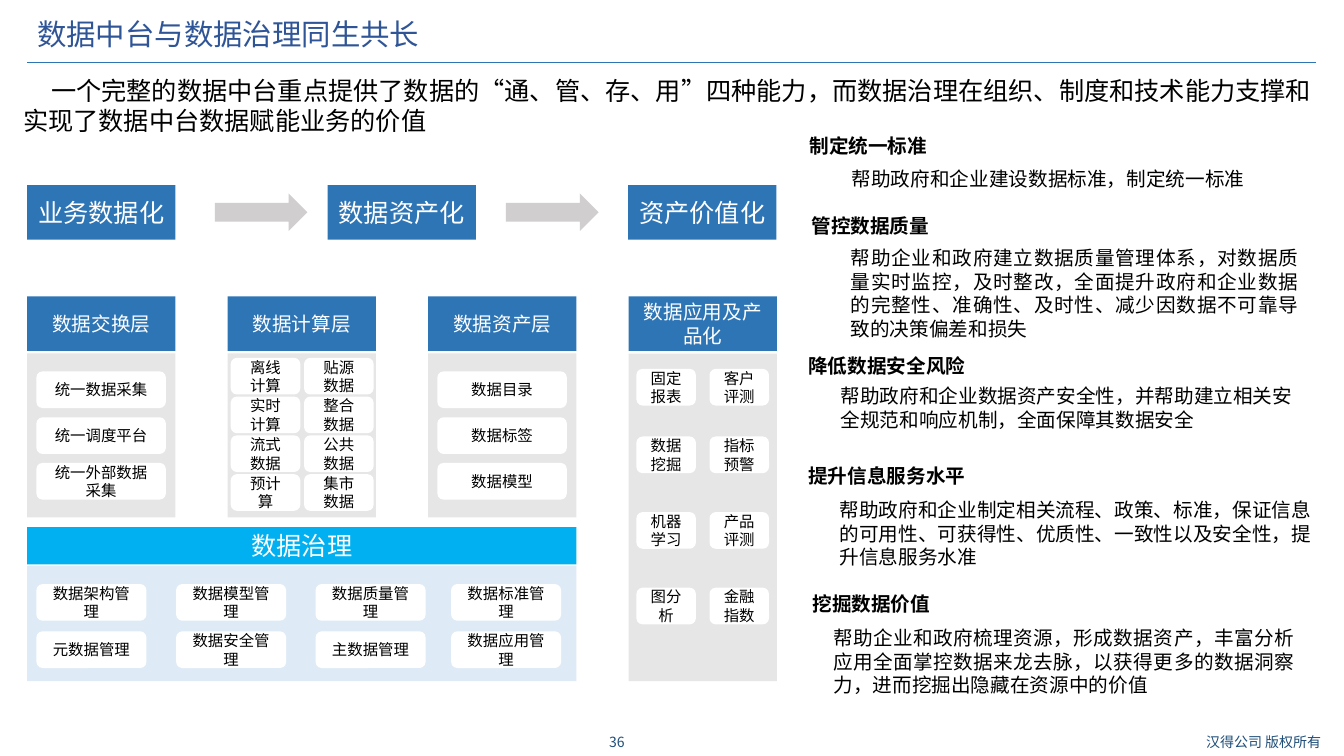
from itertools import product

from pptx import Presentation
from pptx.dml.color import RGBColor
from pptx.enum.shapes import MSO_CONNECTOR as Connector, MSO_SHAPE as Preset
from pptx.enum.text import MSO_ANCHOR as Anchor, MSO_AUTO_SIZE as AutoSize, PP_ALIGN as Align
from pptx.oxml.ns import qn
from pptx.util import Pt

COLORS = {
    "title": "2F5597", "footer": "1F4E79", "rule": "2E75B6", "header": "2E75B6",
    "arrow": "D0CECE", "panel": "E7E6E6", "governance": "00B0F0",
    "governance_panel": "DEEBF7", "white": "FFFFFF", "black": "000000",
}
FONT = "Noto Sans CJK SC"
COLUMN_WIDTH, HEADER_HEIGHT, PILL_HEIGHT = 106, 39, 26.2
LEFT = 19.4
LAYER_PITCH, STAGE_PITCH = 143.2, 214.6

STAGES = ["业务数据化", "数据资产化", "资产价值化"]
# Each layer: heading, panel height, pill width, pill lefts and tops in the panel, labels by row
LAYERS = [
    ("数据交换层", 117, 92.5, [6.6], [12.8, 45.6, 78.2],
     ["统一数据采集", "统一调度平台", "统一外部数据采集"]),
    ("数据计算层", 117, 49.7, [2.2, 54.6], [3.1, 30.8, 58.5, 86.2],
     ["离线计算", "贴源数据", "实时计算", "整合数据", "流式数据", "公共数据", "预计算", "集市数据"]),
    ("数据资产层", 117, 92.5, [6.6], [12.8, 45.6, 78.2],
     ["数据目录", "数据标签", "数据模型"]),
    ("数据应用及产品化", 234, 42.5, [5.6, 57.8], [11, 59.3, 113.3, 167.3],
     ["固定报表", "客户评测", "数据挖掘", "指标预警", "机器学习", "产品评测", "图分析", "金融指数"]),
]
GOVERNANCE = ["数据架构管理", "数据模型管理", "数据质量管理", "数据标准管理",
              "元数据管理", "数据安全管理", "主数据管理", "数据应用管理"]
# Each benefit: heading left and top, body left, top and width, alignment, heading, body
BENEFITS = [
    (578.2, 95.8, 608.4, 119.5, 323.3, Align.JUSTIFY, "制定统一标准",
     "帮助政府和企业建设数据标准，制定统一标准"),
    (579.6, 152.6, 607.7, 175.7, 319.7, Align.JUSTIFY, "管控数据质量",
     "帮助企业和政府建立数据质量管理体系，对数据质量实时监控，及时整改，全面提升政府和企业数据的完整性、"
     "准确性、及时性、减少因数据不可靠导致的决策偏差和损失"),
    (577.4, 252.7, 600.5, 274.3, 331.2, Align.LEFT, "降低数据安全风险",
     "帮助政府和企业数据资产安全性，并帮助建立相关安全规范和响应机制，全面保障其数据安全"),
    (577.4, 331.2, 599.8, 355.7, 347.8, Align.LEFT, "提升信息服务水平",
     "帮助政府和企业制定相关流程、政策、标准，保证信息的可用性、可获得性、优质性、一致性以及安全性，"
     "提升信息服务水准"),
    (580.3, 422.6, 595.4, 447.1, 329, Align.JUSTIFY, "挖掘数据价值",
     "帮助企业和政府梳理资源，形成数据资产，丰富分析应用全面掌控数据来龙去脉，以获得更多的数据洞察力，"
     "进而挖掘出隐藏在资源中的价值"),
]


def write(shape, text, size, color, align=Align.LEFT, name=FONT, bold=False, frame=None, paragraph=None):
    """Put one formatted paragraph in a shape; frame and paragraph hold extra attributes."""
    text_frame = shape.text_frame
    first = text_frame.paragraphs[0]
    run = first.add_run()
    run.text = text
    formats = [
        (text_frame, {"word_wrap": True, **(frame or {})}),
        (first, {"alignment": align, **(paragraph or {})}),
        (run.font, {"size": Pt(size), "name": name, "bold": bold}),
    ]
    for target, values in formats:
        for attribute, value in values.items():
            setattr(target, attribute, value)
    run.font.color.rgb = RGBColor.from_string(COLORS[color])
    east_asian = run.font._element.makeelement(qn("a:ea"), {"typeface": FONT})
    run.font._element.find(qn("a:latin")).addnext(east_asian)


def add_text(slide, box, text, size, color, **options):
    write(slide.shapes.add_textbox(*map(Pt, box)), text, size, color, **options)


def add_block(slide, preset, box, fill, text="", size=11, color="white"):
    shape = slide.shapes.add_shape(preset, *map(Pt, box))
    shape.shadow.inherit = False
    shape.fill.solid()
    shape.fill.fore_color.rgb = RGBColor.from_string(COLORS[fill])
    shape.line.fill.background()
    if text:
        write(shape, text, size, color, Align.CENTER, frame={"vertical_anchor": Anchor.MIDDLE})


def add_pills(slide, left, top, width, lefts, tops, labels):
    """Fill a panel row by row; lefts and tops are offsets from its corner."""
    for label, (dy, dx) in zip(labels, product(tops, lefts)):
        add_block(slide, Preset.ROUNDED_RECTANGLE, (left + dx, top + dy, width, PILL_HEIGHT),
                  "white", label, color="black")


def add_frame(slide):
    """Title, rule, lead sentence and footer."""
    middle = {"vertical_anchor": Anchor.MIDDLE, "auto_size": AutoSize.SHAPE_TO_FIT_TEXT}
    add_text(slide, (LEFT, 10.8, 833, 30.2), "数据中台与数据治理同生共长", 21, "title",
             name="Arial", frame=middle, paragraph={"line_spacing": 0.9})
    rule = slide.shapes.add_connector(Connector.STRAIGHT, Pt(LEFT), Pt(44.6), Pt(940.3), Pt(44.6))
    rule.line.color.rgb = RGBColor.from_string(COLORS["rule"])
    rule.line.width = Pt(0.75)
    properties = rule._element.spPr
    properties.append(properties.makeelement(qn("a:effectLst"), {}))
    lead = slide.shapes.add_textbox(Pt(9.4), Pt(50.4), Pt(937.4), Pt(51))
    write(lead, "一个完整的数据中台重点提供了数据的“通、管、存、用”四种能力，而数据治理在组织、制度和技术能力支撑和"
          "实现了数据中台数据赋能业务的价值", 18, "black")
    lead.text_frame.paragraphs[0]._p.get_or_add_pPr().set("indent", str(Pt(20)))
    for left, width, text in [(415.4, 50.4, "36"), (845.3, 114.5, "汉得公司 版权所有")]:
        add_text(slide, (left, 520.6, width, 19.4), text, 10, "footer", align=Align.CENTER, frame=middle)


def add_stages(slide, left, top):
    for index, stage in enumerate(STAGES):
        add_block(slide, Preset.RECTANGLE, (left + index * STAGE_PITCH, top, COLUMN_WIDTH, HEADER_HEIGHT),
                  "header", stage, 18)
    for dx in (134, 342):
        add_block(slide, Preset.RIGHT_ARROW, (left + dx, top + 6, 66.2, 26.8), "arrow")


def add_layers(slide, left, top):
    panel_top = top + HEADER_HEIGHT + 1.8
    for index, (heading, height, pill_width, lefts, tops, labels) in enumerate(LAYERS):
        x = left + index * LAYER_PITCH
        add_block(slide, Preset.RECTANGLE, (x, top, COLUMN_WIDTH, HEADER_HEIGHT), "header", heading, 14)
        add_block(slide, Preset.RECTANGLE, (x, panel_top, COLUMN_WIDTH, height), "panel")
        add_pills(slide, x, panel_top, pill_width, lefts, tops, labels)


def add_governance(slide, left, top, width):
    add_block(slide, Preset.RECTANGLE, (left, top, width, 26.6), "governance", "数据治理", 18)
    panel_top = top + 27.6
    add_block(slide, Preset.RECTANGLE, (left, panel_top, width, 82.3), "governance_panel")
    add_pills(slide, left, panel_top, 78.6, [6.6, 106.4, 206, 302.8], [13, 46.8], GOVERNANCE)


def add_benefits(slide):
    no_insets = dict.fromkeys(["margin_left", "margin_top", "margin_right", "margin_bottom"], 0)
    for left, top, body_left, body_top, body_width, align, heading, body in BENEFITS:
        add_text(slide, (left, top, 280, 24.5), heading, 14, "black", bold=True,
                 frame={**no_insets, "word_wrap": False})
        add_text(slide, (body_left, body_top, body_width, 40.3), body, 14, "black",
                 align=align, frame=no_insets)


def main():
    presentation = Presentation()
    presentation.slide_width, presentation.slide_height = Pt(960), Pt(540)
    slide = presentation.slides.add_slide(presentation.slide_layouts[6])
    add_frame(slide)
    add_stages(slide, LEFT, 132.2)
    add_layers(slide, LEFT, 211.7)
    add_governance(slide, LEFT, 376.6, 2 * LAYER_PITCH + COLUMN_WIDTH)
    add_benefits(slide)
    presentation.save("out.pptx")


if __name__ == "__main__":
    main()
